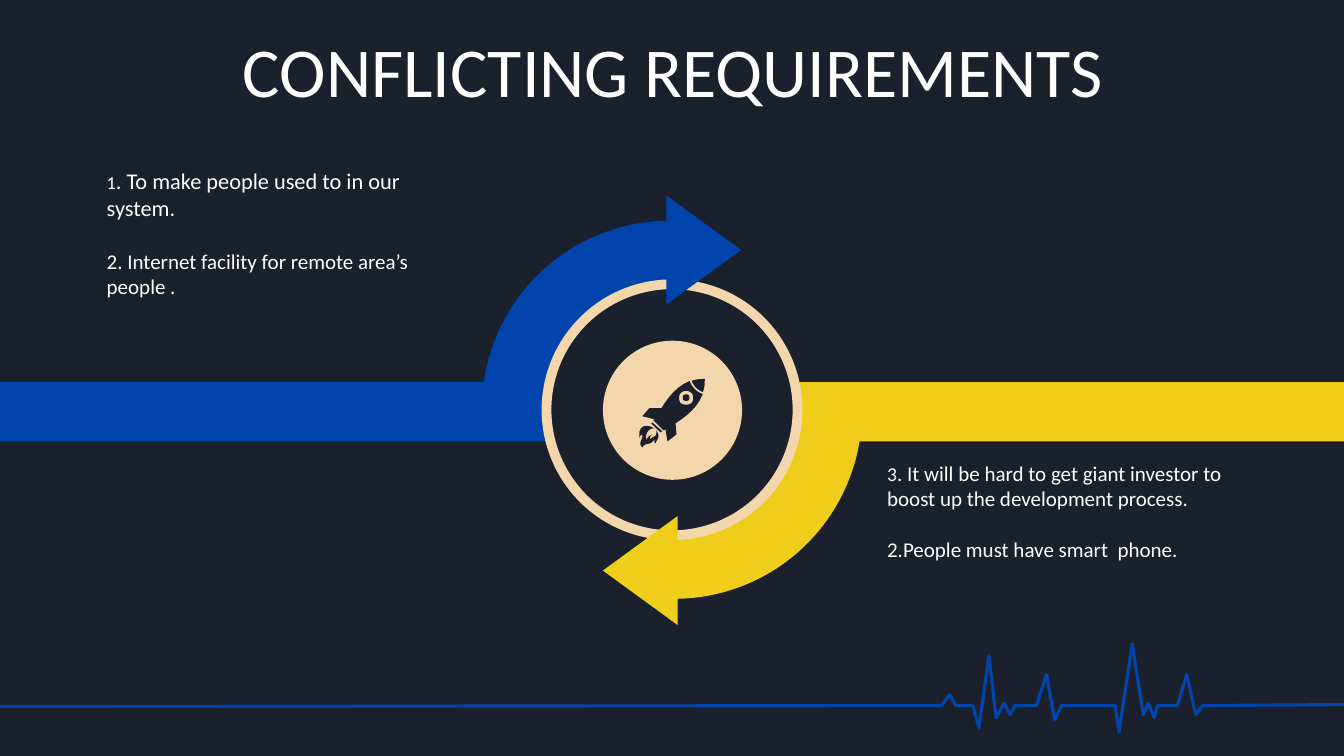
from pptx import Presentation
from pptx.dml.color import RGBColor
from pptx.enum.shapes import MSO_SHAPE
from pptx.enum.text import MSO_ANCHOR, PP_ALIGN
from pptx.util import Inches, Pt

RECT, PIE = MSO_SHAPE.RECTANGLE, MSO_SHAPE.PIE
OVAL, HEAD = MSO_SHAPE.OVAL, MSO_SHAPE.ISOSCELES_TRIANGLE
MIDDLE, CENTER = MSO_ANCHOR.MIDDLE, PP_ALIGN.CENTER

# Content: each paragraph is a list of (text, size) runs
TITLE = "CONFLICTING REQUIREMENTS"
NOTES = [
    ((8.7, 4.52, 3.65, 1.11), 18.3, [
        [("3", 14), (". It will be hard to get giant investor to boost up "
                     "the development process.", 15)],
        [("2.People must have smart  phone.", 15)]]),
    ((0.96, 1.61, 3.65, 1.41), 19.5, [
        [("1", 13), (". To make people used to in our system.", 16)],
        [("2. Internet facility for remote area’s people .", 15)]]),
]
PULSE = [
    (13.34, 6.99), (11.93, 7), (11.86, 7.09), (11.77, 6.69), (11.68, 7),
    (11.48, 7), (11.45, 7.12), (11.39, 6.98), (11.34, 7.09), (11.23, 6.39),
    (11.1, 7.26), (11.06, 7), (10.53, 7), (10.46, 7.14), (10.38, 6.69),
    (10.28, 7), (10.07, 7), (10.02, 7.09), (9.96, 6.98), (9.88, 7.12),
    (9.81, 6.51), (9.71, 7.22), (9.65, 7), (9.48, 7), (9.42, 6.89),
    (9.34, 7), (-0.02, 7.01),
]
# Rocket outlines: two numbers make a point, six make a Bezier curve
ROCKET = [
    [(6.49, 4.25), (6.45, 4.24, 6.39, 4.29, 6.41, 4.37),
     (6.42, 4.33, 6.45, 4.32, 6.47, 4.31),
     (6.46, 4.32, 6.44, 4.33, 6.45, 4.36),
     (6.47, 4.32, 6.52, 4.35, 6.51, 4.27),
     (6.56, 4.34, 6.51, 4.36, 6.5, 4.4),
     (6.48, 4.39, 6.5, 4.35, 6.49, 4.36),
     (6.45, 4.43, 6.4, 4.38, 6.37, 4.44),
     (6.32, 4.39, 6.38, 4.36, 6.37, 4.32),
     (6.37, 4.31, 6.35, 4.31, 6.34, 4.35),
     (6.32, 4.2, 6.43, 4.21, 6.49, 4.25)],
    [(6.47, 4.19), (6.57, 4.28), (6.56, 4.28, 6.55, 4.29, 6.55, 4.29),
     (6.46, 4.2)],
    [(6.83, 3.92), (6.84, 3.93, 6.84, 3.96, 6.83, 3.97),
     (6.82, 3.98, 6.79, 3.98, 6.78, 3.97),
     (6.77, 3.96, 6.77, 3.93, 6.78, 3.92),
     (6.79, 3.91, 6.82, 3.91, 6.83, 3.92)],
    [(6.86, 3.9), (6.83, 3.87, 6.78, 3.87, 6.75, 3.9),
     (6.73, 3.92, 6.73, 3.97, 6.75, 4),
     (6.78, 4.02, 6.83, 4.02, 6.86, 4),
     (6.88, 3.97, 6.88, 3.92, 6.86, 3.9)],
    [(6.84, 3.78), (6.86, 3.84, 6.91, 3.89, 6.97, 3.91),
     (6.92, 4.04, 6.81, 4.13, 6.7, 4.2), (6.71, 4.31), (6.62, 4.38),
     (6.6, 4.26), (6.58, 4.27), (6.48, 4.17),
     (6.48, 4.17, 6.49, 4.16, 6.49, 4.16), (6.37, 4.13), (6.44, 4.05),
     (6.56, 4.05), (6.62, 3.95, 6.71, 3.83, 6.84, 3.78)],
    [(6.99, 3.76), (6.99, 3.8, 6.99, 3.85, 6.97, 3.89),
     (6.92, 3.87, 6.88, 3.83, 6.86, 3.78),
     (6.9, 3.76, 6.95, 3.76, 6.99, 3.76)],
]


class Theme:
    font = "Calibri"
    title = 50
    dark = RGBColor.from_string("1B212C")
    white = RGBColor.from_string("FEFEFE")
    blue = RGBColor.from_string("0145AC")
    gold = RGBColor.from_string("EECE1A")
    sand = RGBColor.from_string("F4D6AD")


# Each side: bar, pie and arrowhead boxes, with their turns
SIDES = [
    (Theme.blue, (0, 3.79, 5.42, 0.59), (4.78, 2.19, 3.73, 3.73),
     (6.44, 2.11, 1.08, 0.74), 0),
    (Theme.gold, (7.91, 3.79, 5.42, 0.59), (4.82, 2.21, 3.73, 3.73),
     (5.81, 5.29, 1.08, 0.74), 180),
]

deck = Presentation()
deck.slide_width, deck.slide_height = Inches(13.33), Inches(7.5)
slide = deck.slides.add_slide(deck.slide_layouts[6])
slide.background.fill.solid()
slide.background.fill.fore_color.rgb = Theme.dark


def paint(shape, fill=None, line=None, width=0):
    shape.shadow.inherit = False
    if fill is None:
        shape.fill.background()
    else:
        shape.fill.solid()
        shape.fill.fore_color.rgb = fill
    if line is None:
        shape.line.fill.background()
    else:
        shape.line.color.rgb = line
        shape.line.width = Pt(width)


def add(kind, box, fill, turn=0, line=None, width=0):
    shape = slide.shapes.add_shape(kind, *map(Inches, box))
    shape.rotation = turn
    paint(shape, fill, line, width)
    return shape


def write(box, paras):
    frame = slide.shapes.add_textbox(*map(Inches, box)).text_frame
    frame.word_wrap = True
    for i, runs in enumerate(paras):
        para = frame.add_paragraph() if i else frame.paragraphs[0]
        for text, size in runs:
            run = para.add_run()
            run.text = text
            run.font.name, run.font.size = Theme.font, Pt(size)
            run.font.color.rgb = Theme.white
    return frame


def trace(path, steps=6):
    """Turn points and curves into a plain list of points."""
    pts = [path[0]]
    for seg in path[1:]:
        if len(seg) == 2:
            pts.append(seg)
            continue
        ends = [pts[-1], seg[:2], seg[2:4], seg[4:]]
        for n in range(1, steps + 1):
            t = n / steps
            u = 1 - t
            parts = (u ** 3, 3 * u * u * t, 3 * u * t * t, t ** 3)
            pts.append(tuple(sum(w * p[k] for w, p in zip(parts, ends))
                             for k in (0, 1)))
    return pts


def draw(paths, close):
    pen = None
    for path in paths:
        pts = [(Inches(x), Inches(y)) for x, y in trace(path)]
        if pen is None:
            pen = slide.shapes.build_freeform(*pts[0])
        else:
            pen.move_to(*pts[0])
        pen.add_line_segments(pts[1:], close=close)
    return pen.convert_to_shape()


# Pulse line and title
paint(draw([PULSE], False), line=Theme.blue, width=2.25)
frame = write((0.35, 0.37, 12.66, 0.79), [[(TITLE, Theme.title)]])
frame.vertical_anchor = MIDDLE
head = frame.paragraphs[0]
head.alignment, head.line_spacing, head.space_after = CENTER, 0.8, Pt(16)

# Bars, then curved arms, ring and arrowheads
for color, bar, arm, tip, turn in SIDES:
    add(RECT, bar, color, turn)
for color, bar, arm, tip, turn in SIDES:
    pie = add(PIE, arm, color, turn)
    pie.adjustments[0], pie.adjustments[1] = 107.755, 162
add(OVAL, (5.42, 2.82, 2.49, 2.49), Theme.dark, line=Theme.sand, width=7)
for color, bar, arm, tip, turn in SIDES:
    add(HEAD, tip, color, turn + 90)

# Hub with rocket
add(OVAL, (5.98, 3.38, 1.38, 1.38), Theme.sand)
paint(draw(ROCKET, True), Theme.dark)

# Notes
for box, gap, paras in NOTES:
    write(box, paras).paragraphs[1].space_before = Pt(gap)

deck.save("out.pptx")
